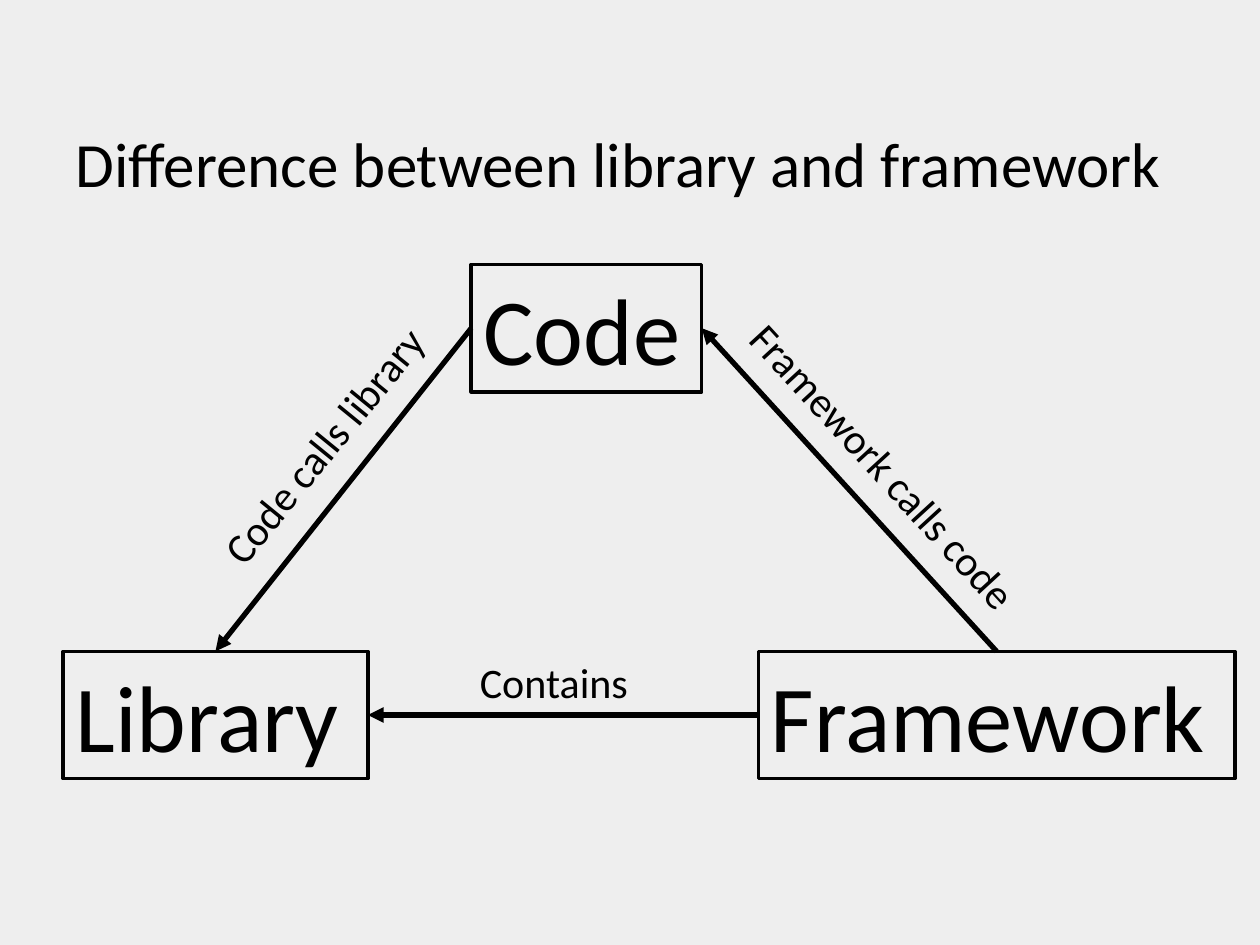
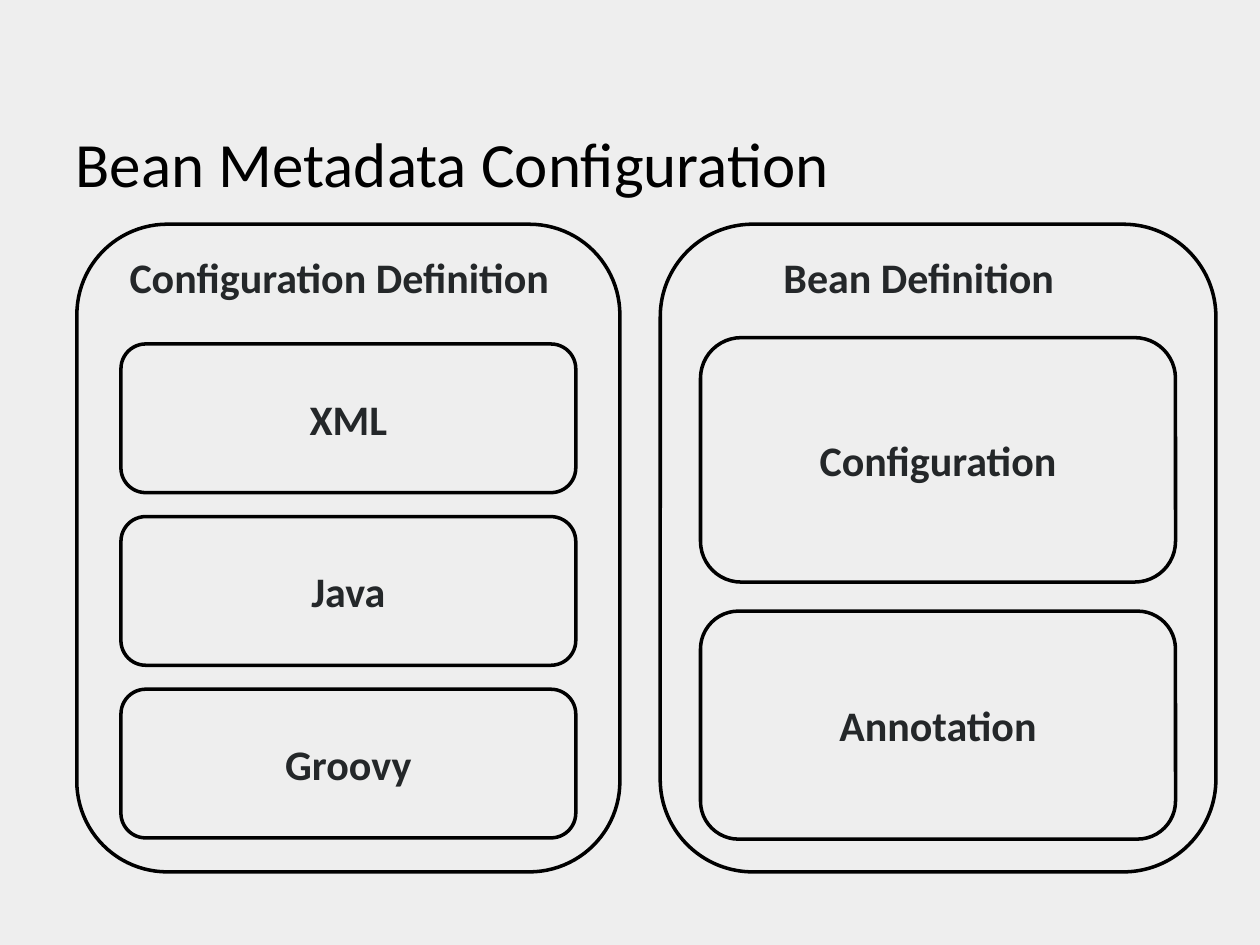
from dataclasses import dataclass

from lxml.etree import SubElement
from pptx import Presentation
from pptx.dml.color import RGBColor
from pptx.enum.shapes import MSO_CONNECTOR, MSO_SHAPE
from pptx.enum.text import MSO_ANCHOR, MSO_AUTO_SIZE, PP_ALIGN
from pptx.oxml.ns import qn
from pptx.util import Inches, Pt

COLORS = {"background": "EEEEEE", "ink": "000000", "label": "242729"}
FONT = "Calibri"
COLUMNS, ROWS = 100, 75
SLIDE_WIDTH, SLIDE_HEIGHT = Inches(10), Inches(7.5)
TOP, LEFT, RIGHT = 0, 1, 3


@dataclass
class Box:
    left: float
    top: float
    width: float
    height: float

    def inner(self, left, top, width, height):
        return Box(self.left + left, self.top + top, width, height)

    def position(self):
        column, row = SLIDE_WIDTH / COLUMNS, SLIDE_HEIGHT / ROWS
        return (round(self.left * column), round(self.top * row),
                round(self.width * column), round(self.height * row))


TITLE = Box(5, 3.9, 90, 12.5)
DIAGRAM = Box(5, 21, 93, 40.8)
CONFIGURATION_PANEL = Box(6.1, 17.8, 43.1, 51.4)
BEAN_PANEL = Box(52.4, 17.8, 44.1, 51.4)


def color(name):
    return RGBColor.from_string(COLORS[name])


def write(shape, text, size, ink="ink", bold=False, align=PP_ALIGN.LEFT,
          anchor=MSO_ANCHOR.TOP):
    frame = shape.text_frame
    frame.word_wrap = True
    frame.auto_size = MSO_AUTO_SIZE.NONE
    frame.vertical_anchor = anchor
    paragraph = frame.paragraphs[0]
    paragraph.alignment = align
    run = paragraph.add_run()
    run.text = text
    run.font.name = FONT
    run.font.size = Pt(size)
    run.font.bold = bold
    run.font.color.rgb = color(ink)


def add_titled_slide(presentation, title):
    slide = presentation.slides.add_slide(presentation.slide_layouts[5])
    shape = slide.shapes.title
    shape.left, shape.top, shape.width, shape.height = TITLE.position()
    write(shape, title, 36, anchor=MSO_ANCHOR.BOTTOM)
    return slide


def add_outline(slide, box, kind):
    shape = slide.shapes.add_shape(kind, *box.position())
    shape.shadow.inherit = False
    shape.fill.background()
    shape.line.color.rgb = color("ink")
    shape.line.width = Pt(2)
    return shape


def add_label(slide, box, text, rotation=0, **style):
    label = slide.shapes.add_textbox(*box.position())
    label.rotation = rotation
    write(label, text, 24, **style)


def add_arrow(slide, source, source_side, target, target_side):
    arrow = slide.shapes.add_connector(MSO_CONNECTOR.STRAIGHT, 0, 0, 0, 0)
    arrow.begin_connect(source, source_side)
    arrow.end_connect(target, target_side)
    arrow.line.color.rgb = color("ink")
    arrow.line.width = Pt(3)
    SubElement(arrow.line._get_or_add_ln(), qn("a:tailEnd"), type="triangle")
    SubElement(arrow._element.spPr, qn("a:effectLst"))


def add_relation_diagram(slide, box):
    def add_node(text, left, top, width):
        node = add_outline(slide, box.inner(left, top, width, 10.1), MSO_SHAPE.RECTANGLE)
        write(node, text, 54)
        return node

    base = box.height - 10.1
    code = add_node("Code", 32.4, 0, 18.3)
    library = add_node("Library", 0, base, 24.2)
    framework = add_node("Framework", box.width - 37.8, base, 37.8)

    add_arrow(slide, code, LEFT, library, TOP)
    add_arrow(slide, framework, LEFT, library, RIGHT)
    add_arrow(slide, framework, TOP, code, RIGHT)

    add_label(slide, box.inner(7.8, 11, 27, 5), "Code calls library", 309.2)
    add_label(slide, box.inner(49.4, 13.8, 32, 5), "Framework calls code", 47.6)
    add_label(slide, box.inner(32.1, 30.6, 14.2, 5), "Contains")


def add_panel(slide, box, heading, heading_left, heading_width, side, top, gap, cards):
    add_outline(slide, box, MSO_SHAPE.ROUNDED_RECTANGLE)
    add_label(slide, box.inner(heading_left, 1.7, heading_width, 5), heading,
              ink="label", bold=True)
    for text, height in cards:
        card_box = box.inner(side, top, box.width - 2 * side, height)
        card = add_outline(slide, card_box, MSO_SHAPE.ROUNDED_RECTANGLE)
        write(card, text, 24, "label", True, PP_ALIGN.CENTER, MSO_ANCHOR.MIDDLE)
        top += height + gap


def main():
    presentation = Presentation()
    presentation.slide_width, presentation.slide_height = SLIDE_WIDTH, SLIDE_HEIGHT
    background = presentation.slide_master.background.fill
    background.solid()
    background.fore_color.rgb = color("background")

    slide = add_titled_slide(presentation, "Difference between library and framework")
    add_relation_diagram(slide, DIAGRAM)

    slide = add_titled_slide(presentation, "Bean Metadata Configuration")
    add_panel(slide, CONFIGURATION_PANEL, "Configuration Definition", 3.2, 37.4,
              side=3.5, top=9.5, gap=1.9,
              cards=[(text, 11.8) for text in ("XML", "Java", "Groovy")])
    add_panel(slide, BEAN_PANEL, "Bean Definition", 8.8, 24.7,
              side=3.2, top=9, gap=2.3,
              cards=[("Configuration", 19.4), ("Annotation", 18.1)])

    presentation.save("out.pptx")


if __name__ == "__main__":
    main()
